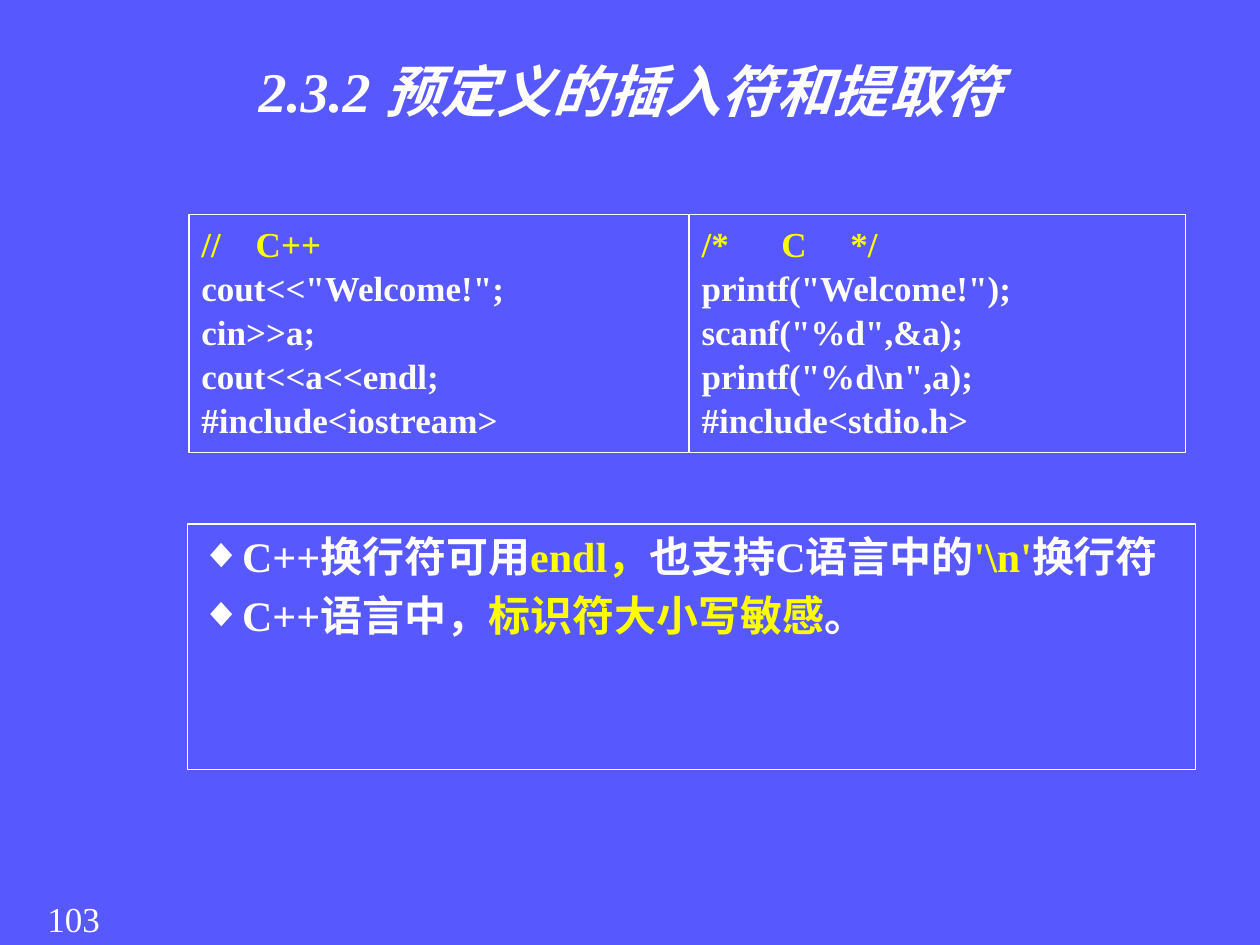
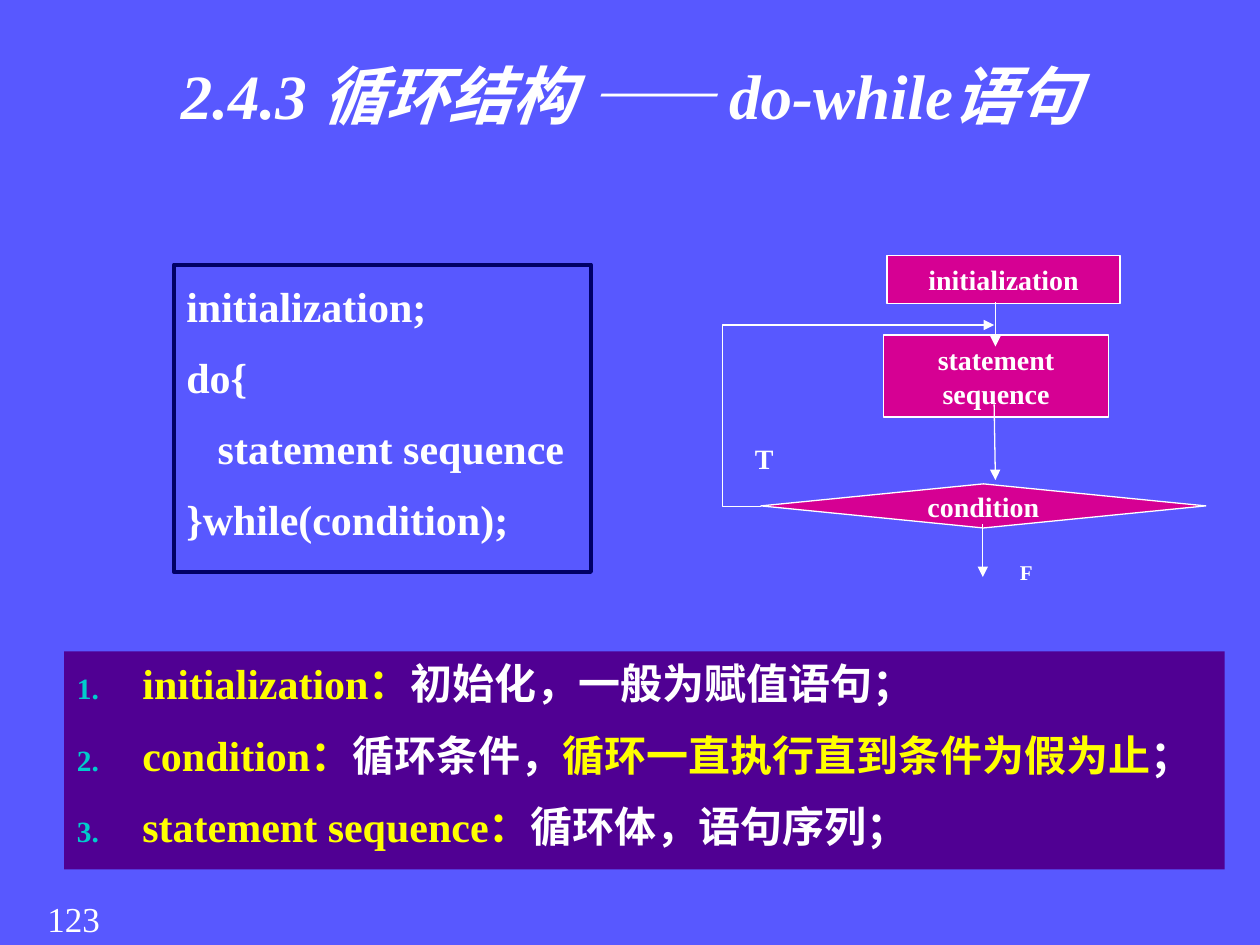
"""Build two lecture slides on C++ stream operators and the do-while loop."""
from dataclasses import dataclass

from lxml import etree
from pptx import Presentation, util as u
from pptx.dml.color import RGBColor
from pptx.enum import shapes, text
from pptx.oxml import ns

COLS, ROWS = 100, 75
CELL = u.Inches(0.1)
FONT = "Times New Roman"
BLUE, WHITE, YELLOW = "5858FF", "FFFFFF", "FFFF00"
NAVY, PURPLE, MAGENTA, TEAL = "000066", "500093", "D60093", "00CCCC"
RECT, DIAMOND = shapes.MSO_SHAPE.RECTANGLE, shapes.MSO_SHAPE.FLOWCHART_DECISION
TOP, MIDDLE = text.MSO_ANCHOR.TOP, text.MSO_ANCHOR.MIDDLE
LEFT, CENTER = text.PP_ALIGN.LEFT, text.PP_ALIGN.CENTER

Place = tuple[float, float, float, float]


@dataclass(frozen=True)
class Style:
    """Paragraph look; bullet is a character, or "1." for numbering."""
    size: float
    bold: bool = True
    italic: bool = False
    align: int = LEFT
    anchor: int = TOP
    wrap: bool = True
    before: float = 0
    leading: float | None = None
    indent: float = 0
    bullet: str = ""


@dataclass(frozen=True)
class Box:
    """A preset shape with text, placed in grid cells."""
    at: Place
    lines: list[str]
    style: Style
    fill: str | None = None
    line: str = WHITE
    width: float = 0.75
    kind: int = RECT


@dataclass(frozen=True)
class Arrow:
    """An arrow between two grid points; bend is the elbow's adjustment."""
    start: tuple[float, float]
    end: tuple[float, float]
    bend: int | None = None


NUMBER = Style(20, bold=False, align=CENTER)
CODE = Style(20, leading=1.05)
LOOP_CODE = Style(24, before=6, leading=1.2)
NOTES = Style(24, before=5, indent=2.4, bullet="◆")
TERMS = Style(24, before=12, indent=5.2, bullet="1.")
NODE = Style(16, align=CENTER, anchor=MIDDLE)
NODE_LINE = Style(16, align=CENTER, anchor=MIDDLE, wrap=False)
EXIT = Style(12, align=CENTER, anchor=MIDDLE)


def rgb(value: str) -> RGBColor:
    """Turn a hex string into a colour."""
    return RGBColor.from_string(value)


def cells(*values: float) -> list[int]:
    """Turn grid cells into lengths."""
    return [round(v * CELL) for v in values]


def place(sp, at: Place) -> None:
    """Move and size a shape on the grid."""
    sp.left, sp.top, sp.width, sp.height = cells(*at)


def add_xml(parent, tag: str, **attrs: str):
    """Append a drawing element."""
    return etree.SubElement(parent, ns.qn(f"a:{tag}"), attrs)


def add_bullet(p, style: Style) -> None:
    """Give a paragraph its hanging indent and bullet."""
    pPr = p._p.get_or_add_pPr()
    indent = cells(style.indent)[0]
    pPr.set("marL", str(indent))
    pPr.set("indent", str(-indent))
    if style.bullet == "1.":
        add_xml(add_xml(pPr, "buClr"), "srgbClr", val=TEAL)
        add_xml(pPr, "buSzPct", val="70000")
        add_xml(pPr, "buAutoNum", type="arabicPeriod")
    else:
        add_xml(pPr, "buFont", typeface=FONT)
        add_xml(pPr, "buChar", char=style.bullet)


def write(tf, lines: list[str], style: Style) -> None:
    """Fill a text frame; every second part between bars is yellow."""
    tf.word_wrap = style.wrap
    tf.auto_size = text.MSO_AUTO_SIZE.NONE
    tf.vertical_anchor = style.anchor
    for i, line in enumerate(lines):
        p = tf.add_paragraph() if i else tf.paragraphs[0]
        if style.bullet:
            add_bullet(p, style)
        p.alignment = style.align
        p.space_before = u.Pt(style.before if i else 0)
        if style.leading:
            p.line_spacing = style.leading
        p.font.name, p.font.size = FONT, u.Pt(style.size)
        p.font.bold, p.font.italic = style.bold, style.italic
        p.font.color.rgb = rgb(WHITE)
        for j, part in enumerate(line.split("|")):
            if part:
                r = p.add_run()
                r.text = part
                if j % 2:
                    r.font.color.rgb = rgb(YELLOW)


def paint(sp, fill: str | None, line: str | None, width: float = 0.75) -> None:
    """Set a shape's fill and outline."""
    sp.shadow.inherit = False
    if fill:
        sp.fill.solid()
        sp.fill.fore_color.rgb = rgb(fill)
    else:
        sp.fill.background()
    if line:
        sp.line.color.rgb = rgb(line)
        sp.line.width = u.Pt(width)
    else:
        sp.line.fill.background()


def add_box(s, box: Box) -> None:
    """Draw a preset shape with its text."""
    sp = s.shapes.add_shape(box.kind, *cells(*box.at))
    paint(sp, box.fill, box.line, box.width)
    write(sp.text_frame, box.lines, box.style)


def add_label(s, at: Place, label: str, style: Style) -> None:
    """Draw a plain text box."""
    write(s.shapes.add_textbox(*cells(*at)).text_frame, [label], style)


def add_arrow(s, arrow: Arrow) -> None:
    """Draw a straight or elbow arrow."""
    kinds = shapes.MSO_CONNECTOR
    kind = kinds.STRAIGHT if arrow.bend is None else kinds.ELBOW
    cx = s.shapes.add_connector(kind, *cells(*arrow.start, *arrow.end))
    cx.line.color.rgb = rgb(WHITE)
    cx.line.width = u.Pt(0.75)
    add_xml(cx.line._get_or_add_ln(), "tailEnd", type="triangle")
    spPr = cx._element.spPr
    add_xml(spPr, "effectLst")
    if arrow.bend is not None:
        guides = spPr.find(ns.qn("a:prstGeom")).find(ns.qn("a:avLst"))
        add_xml(guides, "gd", name="adj1", fmla=f"val {arrow.bend}")


def new_slide(prs, title: str, size: float, number: int,
              at: Place, points: list[str], style: Style):
    """Add a slide with its title, page number and list; return it and the list."""
    s = prs.slides.add_slide(prs.slide_layouts[1])
    place(s.shapes.title, (6.9, 4, 86.2, 14.5))
    write(s.shapes.title.text_frame, [title],
          Style(size, italic=True, align=CENTER))
    body = s.placeholders[1]
    place(body, at)
    write(body.text_frame, points, style)
    add_label(s, (1.7, 70.7, 8.3, 4.3), str(number), NUMBER)
    return s, body


def stream_slide(prs) -> None:
    """Compare C++ streams with C input and output."""
    s, body = new_slide(
        prs, "2.3.2 预定义的插入符和提取符", 32, 103, (14.9, 41.6, 80, 19.5),
        ["C++换行符可用|endl，|也支持C语言中的|'\\n'|换行符",
         "C++语言中，|标识符大小写敏感|。"], NOTES)
    paint(body, None, WHITE)
    add_box(s, Box((15, 17, 39.7, 18.9), [
        "|//    C++", 'cout<<"Welcome!";', "cin>>a;", "cout<<a<<endl;",
        "#include<iostream>"], CODE))
    add_box(s, Box((54.7, 17, 39.4, 18.9), [
        "|/*      C     */", 'printf("Welcome!");', 'scanf("%d",&a);',
        'printf("%d\\n",a);', "#include<stdio.h>"], CODE))


def loop_slide(prs) -> None:
    """Show the do-while statement with its flow chart."""
    s, body = new_slide(
        prs, "2.4.3 循环结构 —— do-while语句", 36, 123, (5.1, 51.7, 92.1, 17.3),
        ["|initialization：|初始化，一般为赋值语句；",
         "|condition：|循环条件，|循环一直执行直到条件为假为止|；",
         "|statement sequence：|循环体，语句序列；"], TERMS)
    paint(body, PURPLE, None)
    add_box(s, Box((13.8, 21, 33.1, 24.4), [
        "initialization;", "do{", "   statement sequence",
        "}while(condition);"], LOOP_CODE, line=NAVY, width=2.25))
    for box in (
        Box((60.4, 38.4, 35.3, 3.5), ["condition"], NODE_LINE, MAGENTA, kind=DIAMOND),
        Box((70.4, 20.3, 18.5, 3.8), ["initialization"], NODE, MAGENTA),
        Box((70.1, 26.6, 17.9, 6.5), ["statement sequence"], NODE, MAGENTA),
    ):
        add_box(s, box)
    for arrow in (
        Arrow((79, 24), (79, 27.5)),
        Arrow((78, 41.6), (78, 45.8)),
        Arrow((78.9, 32.1), (79, 38.1)),
        Arrow((60.4, 40.2), (78.9, 25.8), bend=-16700),
    ):
        add_arrow(s, arrow)
    add_label(s, (58.9, 34.5, 3.5, 3.7), "T", NODE_LINE)
    add_label(s, (79.9, 43.9, 3.1, 3), "F", EXIT)


def main() -> None:
    """Build and save the presentation."""
    prs = Presentation()
    prs.slide_width, prs.slide_height = COLS * CELL, ROWS * CELL
    fill = prs.slide_master.background.fill
    fill.solid()
    fill.fore_color.rgb = rgb(BLUE)
    stream_slide(prs)
    loop_slide(prs)
    prs.save("out.pptx")


if __name__ == "__main__":
    main()
